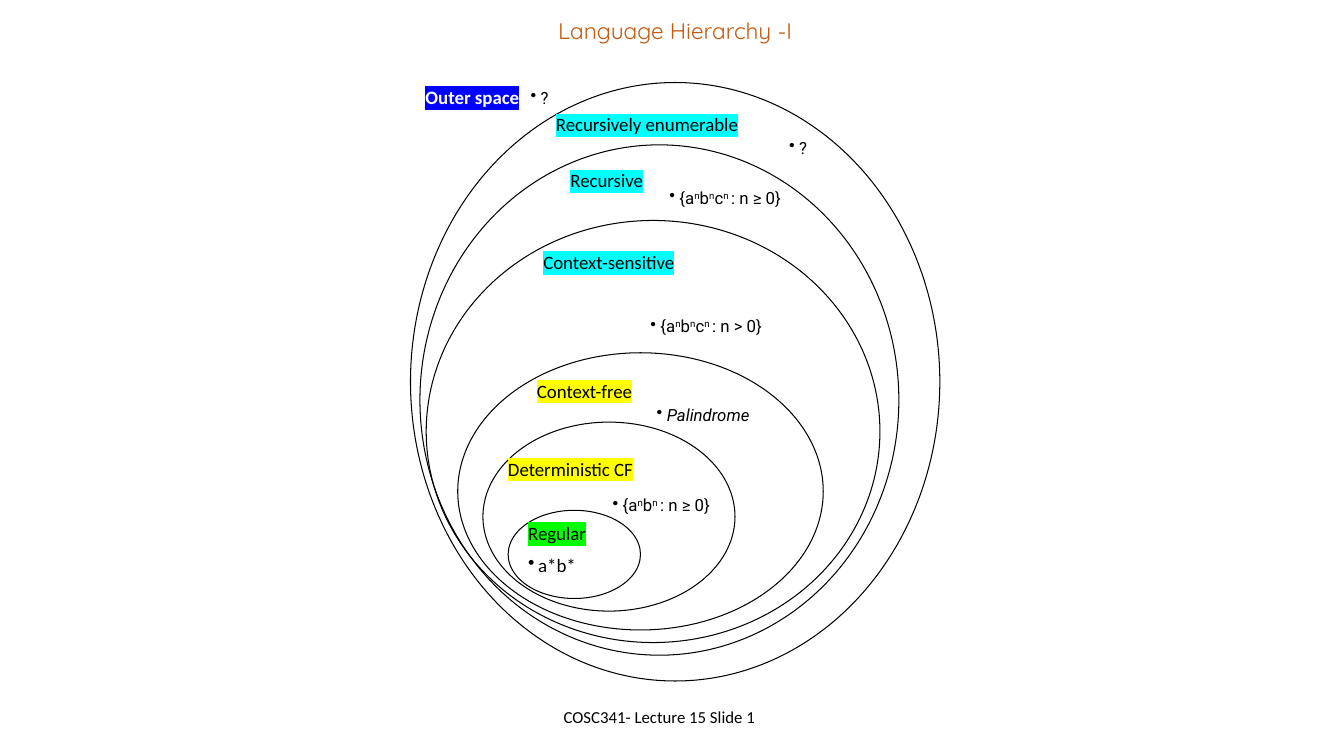
from dataclasses import dataclass
from lxml.etree import SubElement
from pptx import Presentation
from pptx.dml.color import RGBColor
from pptx.enum.shapes import MSO_SHAPE
from pptx.enum.text import MSO_ANCHOR, PP_ALIGN
from pptx.oxml.ns import qn
from pptx.util import Inches, Pt

TITLE = "Language Hierarchy -I"
FOOT = "COSC341- Lecture 15 Slide 1"

RINGS = [
    (16, 81, 21, 14),
    (12, 67, 40, 30),
    (8, 56, 58, 44),
    (3, 35, 72, 67),
    (2, 23, 76, 81),
    (0.5, 13.1, 84, 95),
]

NAMES = [
    ("Regular", "green", (17.6, 82, 16, 10.7), "a*b*"),
    ("Deterministic CF", "yellow", (14.4, 71.8, 34, 5.3), None),
    ("Context-free", "yellow", (19, 59.4, 26, 5.3), None),
    ("Context-sensitive", "cyan", (20, 39, 25, 5.3), None),
    ("Recursive", "cyan", (24.3, 26, 20, 5.3), None),
    ("Recursively enumerable", "cyan", (22, 17.1, 33, 5.3), None),
    ("Outer space", "blue", (1.3, 12.8, 23, 5.3), None),
]

CASES = [
    ("{a|n|b|n |: n ≥ 0}", (31, 77.8, 23, 4.8)),
    ("Palindrome", (38, 63.4, 20, 4.8)),
    ("{a|n|b|n|c|n |: n > 0}", (37, 49.4, 23, 4.8)),
    ("{a|n|b|n|c|n |: n ≥ 0}", (40, 29, 22, 4.8)),
    ("?", (59, 21, 8, 4.8)),
    ("?", (18, 13.1, 13, 4.8)),
]


@dataclass(frozen=True)
class Theme:
    ink: str = "000000"
    white: str = "FFFFFF"
    rust: str = "C55A11"
    green: str = "00FF00"
    yellow: str = "FFFF00"
    cyan: str = "00FFFF"
    blue: str = "0000FF"
    head: str = "Quicksand"
    label: str = "Calibri"
    case: str = "Roboto"
    big: float = 16.2
    mid: float = 13.5
    small: float = 12
    line: float = 0.75


LOOK = Theme()
CELL = 1 / 16
LEFT = 4.04
DENT = Inches(0.1)


def place(cells):
    x, y, w, h = (n * CELL for n in cells)
    return [Inches(n) for n in (LEFT + x, y, w, h)]


def style(para, face, size, tint):
    para.font.name = face
    para.font.size = Pt(size)
    para.font.color.rgb = RGBColor.from_string(tint)


def add_box(slide, area):
    frame = slide.shapes.add_textbox(*area).text_frame
    frame.word_wrap = True
    return frame


def add_dot(para):
    props = para._p.get_or_add_pPr()
    props.set("marL", str(DENT))
    props.set("indent", str(-DENT))
    mark = props.makeelement(qn("a:buChar"), {"char": "•"})
    props.insert(0, mark)


def add_ring(slide, cells):
    ring = slide.shapes.add_shape(MSO_SHAPE.OVAL, *place(cells))
    ring.shadow.inherit = False
    ring.fill.background()
    ring.line.color.rgb = RGBColor.from_string(LOOK.ink)
    ring.line.width = Pt(LOOK.line)


def add_name(slide, name, tint, cells, case):
    frame = add_box(slide, place(cells))
    para = frame.paragraphs[0]
    run = para.add_run()
    run.text = name
    glow = SubElement(run._r.get_or_add_rPr(), qn("a:highlight"))
    SubElement(glow, qn("a:srgbClr"), val=getattr(LOOK, tint))
    dark = tint == "blue"
    style(para, LOOK.label, LOOK.mid, LOOK.white if dark else LOOK.ink)
    para.font.bold = dark
    if case:
        item = frame.add_paragraph()
        item.text = case
        style(item, LOOK.label, LOOK.mid, LOOK.ink)
        item.space_before = Pt(LOOK.mid / 2)
        add_dot(item)


def add_case(slide, text, cells):
    para = add_box(slide, place(cells)).paragraphs[0]
    for order, part in enumerate(text.split("|")):
        run = para.add_run()
        run.text = part
        if order % 2:
            run._r.get_or_add_rPr().set("baseline", "30000")
    style(para, LOOK.case, LOOK.small, LOOK.ink)
    para.font.italic = text == "Palindrome"
    add_dot(para)


def main():
    deck = Presentation()
    deck.slide_width, deck.slide_height = Inches(13.33), Inches(7.5)
    slide = deck.slides.add_slide(deck.slide_layouts[5])

    title = slide.shapes.title
    title.left, title.top = Inches(4.23), Inches(0.11)
    title.width, title.height = Inches(4.93), Inches(0.41)
    title.text_frame.text = TITLE
    title.text_frame.vertical_anchor = MSO_ANCHOR.MIDDLE
    para = title.text_frame.paragraphs[0]
    para.alignment = PP_ALIGN.CENTER
    para.line_spacing = 0.9
    style(para, LOOK.head, LOOK.big, LOOK.rust)

    for ring in RINGS:
        add_ring(slide, ring)
    for name in NAMES:
        add_name(slide, *name)
    for case in CASES:
        add_case(slide, *case)

    foot = add_box(slide, [Inches(n) for n in (4.29, 6.91, 4.5, 0.4)])
    foot.vertical_anchor = MSO_ANCHOR.MIDDLE
    para = foot.paragraphs[0]
    para.text = FOOT
    para.alignment = PP_ALIGN.CENTER
    style(para, LOOK.label, LOOK.small, LOOK.ink)

    deck.save("out.pptx")


if __name__ == "__main__":
    main()
